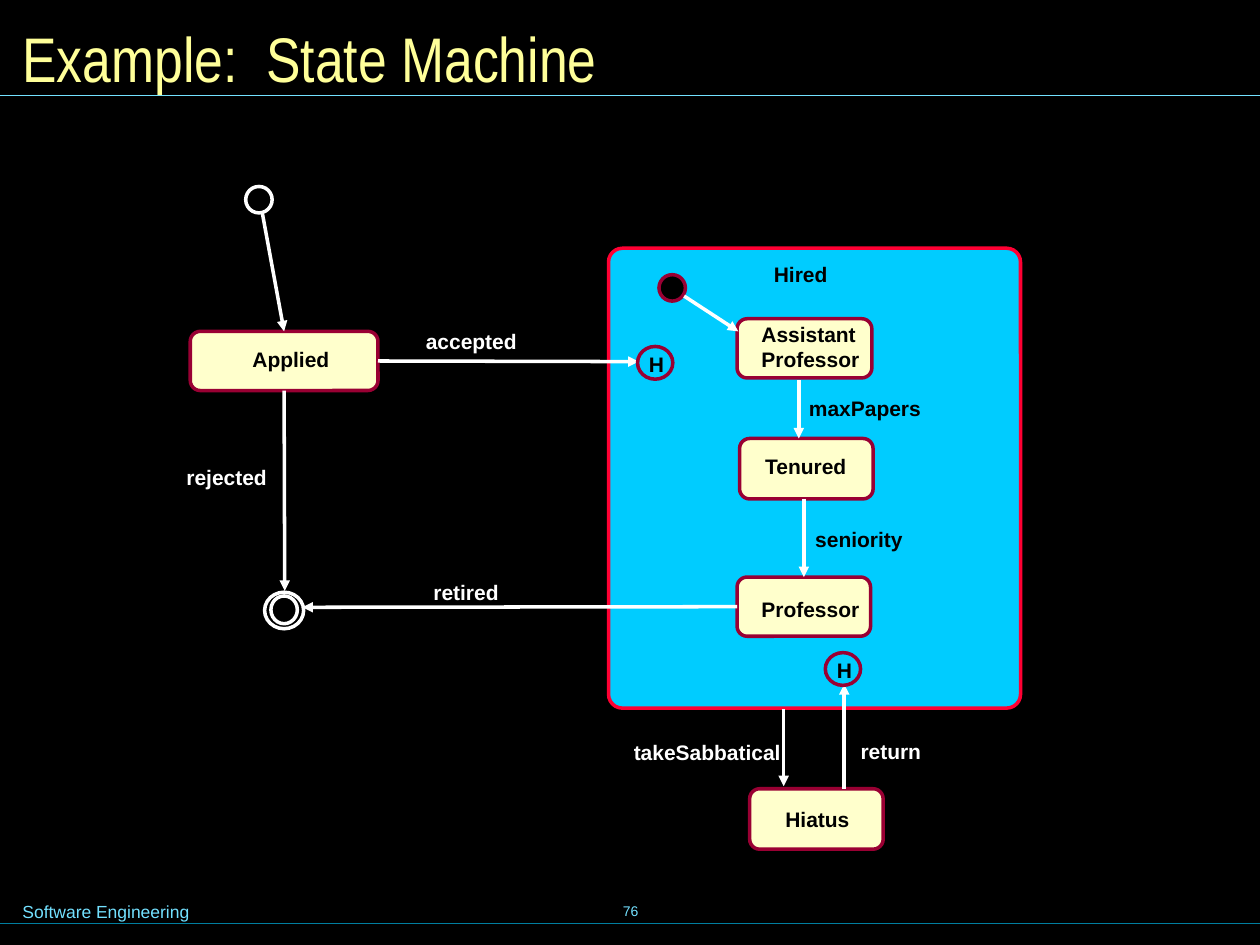
from dataclasses import dataclass
from typing import Optional

from lxml import etree
from pptx import Presentation
from pptx import util as u
from pptx.dml.color import RGBColor
from pptx.enum import shapes, text
from pptx.oxml import ns


@dataclass(frozen=True)
class Theme:
    background: str = "000000"
    title: str = "FFFF99"
    footer: str = "73E1FF"
    footer_rule: str = "007E9F"
    light: str = "FFFFFF"
    dark: str = "000000"
    state: str = "FFFFCC"
    border: str = "990033"
    composite: str = "00CCFF"
    composite_border: str = "FF0033"
    font: str = "Arial"
    title_font: str = "Arial Narrow"
    title_size: int = 36
    label_size: int = 12
    footer_size: int = 10
    number_size: int = 8
    stroke: float = 2
    rule: float = 0.75


T = Theme()
ROUND = shapes.MSO_SHAPE.ROUNDED_RECTANGLE
OVAL = shapes.MSO_SHAPE.OVAL
TOP, LEFT, BOTTOM, RIGHT = range(4)


@dataclass(frozen=True)
class Node:
    key: str
    box: tuple[float, float, float, float]
    label: str = ""
    inset: tuple[float, float] = (0, 0)
    kind: shapes.MSO_SHAPE = ROUND
    fill: Optional[str] = T.state
    line: str = T.border
    radius: float = 0.08


@dataclass(frozen=True)
class Label:
    text: str
    box: tuple[float, float, float, float]
    color: str = T.light
    size: float = T.label_size
    font: str = T.font
    bold: bool = True
    margins: tuple[float, float] = (0, 0)
    anchor: text.MSO_ANCHOR = text.MSO_ANCHOR.TOP
    align: text.PP_ALIGN = text.PP_ALIGN.LEFT
    wrap: bool = False


@dataclass(frozen=True)
class Arrow:
    start: tuple[float, float]
    end: tuple[float, float]
    source: Optional[tuple[str, int]] = None
    target: Optional[tuple[str, int]] = None


NODES = [
    Node("Hired", (4.83, 1.97, 3.27, 3.65), "Hired", (1.28, 0.07),
         fill=T.composite, line=T.composite_border, radius=0.11),
    Node("Initial", (1.95, 1.48, 0.21, 0.21), kind=OVAL, fill=T.dark, line=T.light),
    Node("Hired initial", (5.23, 2.18, 0.21, 0.21), kind=OVAL, fill=T.dark),
    Node("Final outer", (2.1, 4.7, 0.31, 0.29), kind=OVAL, fill=None, line=T.light),
    Node("Final inner", (2.15, 4.73, 0.21, 0.22), kind=OVAL, fill=None, line=T.light),
    Node("Applied", (1.51, 2.63, 1.49, 0.47), "Applied", (0.47, 0.1)),
    Node("Assistant", (5.85, 2.53, 1.07, 0.47), "Assistant\nProfessor", (0.17, 0)),
    Node("Tenured", (5.87, 3.48, 1.06, 0.48), "Tenured", (0.18, 0.1)),
    Node("Professor", (5.85, 4.58, 1.06, 0.47), "Professor", (0.17, 0.13)),
    Node("Hiatus", (5.95, 6.26, 1.06, 0.48), "Hiatus", (0.26, 0.12)),
]

HISTORIES = [
    Node(f"History {i}", (x, y, 0.28, 0.26), "H", (0.05, 0), OVAL, None)
    for i, (x, y) in enumerate([(5.06, 2.75), (6.55, 5.18)], 1)
]

ARROWS = [
    Arrow((2.08, 1.68), (2.24, 2.62), target=("Applied", TOP)),
    Arrow((2.25, 3.09), (2.26, 4.69), source=("Applied", BOTTOM)),
    Arrow((3.01, 2.87), (5.07, 2.87), source=("Applied", RIGHT)),
    Arrow((5.43, 2.35), (5.86, 2.63)),
    Arrow((6.34, 3.02), (6.34, 3.48)),
    Arrow((6.38, 3.96), (6.38, 4.58), target=("Professor", TOP)),
    Arrow((5.85, 4.82), (2.4, 4.82), source=("Professor", LEFT)),
    Arrow((6.7, 6.26), (6.7, 5.43)),
    Arrow((6.22, 5.63), (6.22, 6.24)),
]

LABELS = [
    Label("Example:  State Machine", (0.08, 0.08, 9.84, 0.75), T.title, T.title_size,
          T.title_font, False, (0.1, 0.05), text.MSO_ANCHOR.MIDDLE, wrap=True),
    Label("Software Engineering", (0.08, 7.1, 2.95, 0.27), T.footer, T.footer_size,
          bold=False, margins=(0.1, 0.05), wrap=True),
    Label("76", (3.42, 6.98, 3.17, 0.5), T.footer, T.number_size, bold=False,
          margins=(0.1, 0.05), anchor=text.MSO_ANCHOR.MIDDLE,
          align=text.PP_ALIGN.CENTER, wrap=True),
    Label("rejected", (1.48, 3.69, 0.66, 0.2)),
    Label("accepted", (3.38, 2.61, 0.74, 0.2)),
    Label("retired", (3.44, 4.6, 0.54, 0.2)),
    Label("takeSabbatical", (5.03, 5.87, 1.19, 0.2)),
    Label("return", (6.83, 5.86, 0.5, 0.2)),
    Label("maxPapers", (6.42, 3.14, 0.91, 0.2), T.dark),
    Label("seniority", (6.47, 4.18, 0.72, 0.2), T.dark),
]


def rgb(value: str) -> RGBColor:
    return RGBColor.from_string(value)


def write(tf, label: Label) -> None:
    tf.text = label.text
    tf.word_wrap = label.wrap
    tf.vertical_anchor = label.anchor
    for p in tf.paragraphs:
        p.alignment = label.align
        for r in p.runs:
            r.font.name, r.font.size = label.font, u.Pt(label.size)
            r.font.bold = label.bold
            r.font.color.rgb = rgb(label.color)


def draw_label(s, label: Label) -> None:
    tf = s.shapes.add_textbox(*map(u.Inches, label.box)).text_frame
    tf.margin_left = tf.margin_right = u.Inches(label.margins[0])
    tf.margin_top = tf.margin_bottom = u.Inches(label.margins[1])
    write(tf, label)
    if not label.wrap:
        tf.auto_size = text.MSO_AUTO_SIZE.SHAPE_TO_FIT_TEXT


def draw_node(s, node: Node):
    sp = s.shapes.add_shape(node.kind, *map(u.Inches, node.box))
    sp.shadow.inherit = False
    if node.kind == ROUND:
        sp.adjustments[0] = node.radius / min(node.box[2:])
    if node.fill:
        sp.fill.solid()
        sp.fill.fore_color.rgb = rgb(node.fill)
    else:
        sp.fill.background()
    sp.line.color.rgb = rgb(node.line)
    sp.line.width = u.Pt(T.stroke)
    if node.label:
        tf = sp.text_frame
        tf.margin_left, tf.margin_top = map(u.Inches, node.inset)
        tf.margin_right = tf.margin_bottom = 0
        write(tf, Label(node.label, node.box, T.dark, wrap=True))
    return sp


def draw_line(s, start: tuple, end: tuple, color: str, width: float):
    cx = s.shapes.add_connector(shapes.MSO_CONNECTOR.STRAIGHT, *map(u.Inches, start + end))
    cx.line.color.rgb = rgb(color)
    cx.line.width = u.Pt(width)
    etree.SubElement(cx._element.spPr, ns.qn("a:effectLst"))
    return cx


def draw_arrow(s, arrow: Arrow, nodes: dict) -> None:
    cx = draw_line(s, arrow.start, arrow.end, T.light, T.stroke)
    etree.SubElement(cx.line._get_or_add_ln(), ns.qn("a:tailEnd"), type="triangle")
    if arrow.source:
        cx.begin_connect(nodes[arrow.source[0]], arrow.source[1])
    if arrow.target:
        cx.end_connect(nodes[arrow.target[0]], arrow.target[1])


def main() -> None:
    prs = Presentation()
    prs.slide_width, prs.slide_height = u.Inches(10), u.Inches(7.5)
    s = prs.slides.add_slide(prs.slide_layouts[6])
    s.background.fill.solid()
    s.background.fill.fore_color.rgb = rgb(T.background)
    draw_line(s, (0, 7.33), (10, 7.33), T.footer_rule, T.rule)
    draw_line(s, (0, 0.76), (10, 0.76), T.footer, T.rule)
    nodes = {node.key: draw_node(s, node) for node in NODES}
    for arrow in ARROWS:
        draw_arrow(s, arrow, nodes)
    for history in HISTORIES:
        draw_node(s, history)
    for label in LABELS:
        draw_label(s, label)
    prs.save("out.pptx")


if __name__ == "__main__":
    main()
